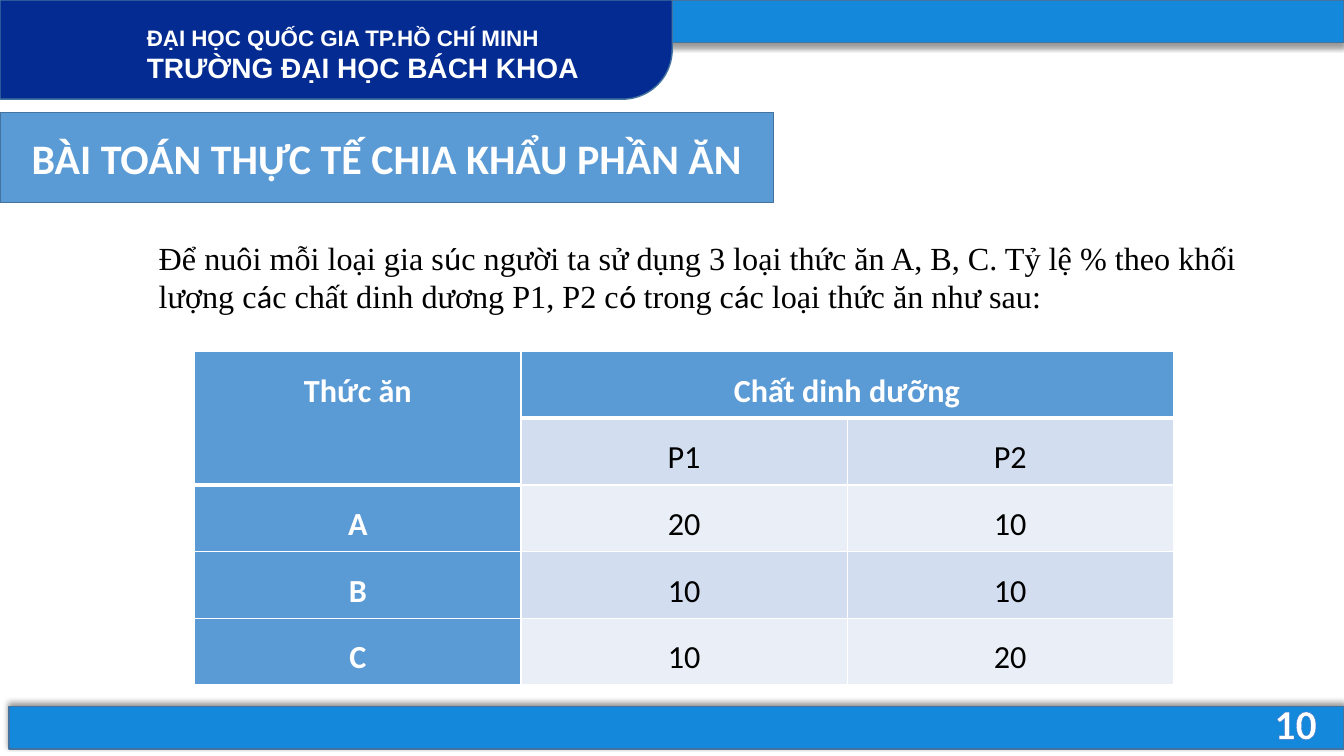
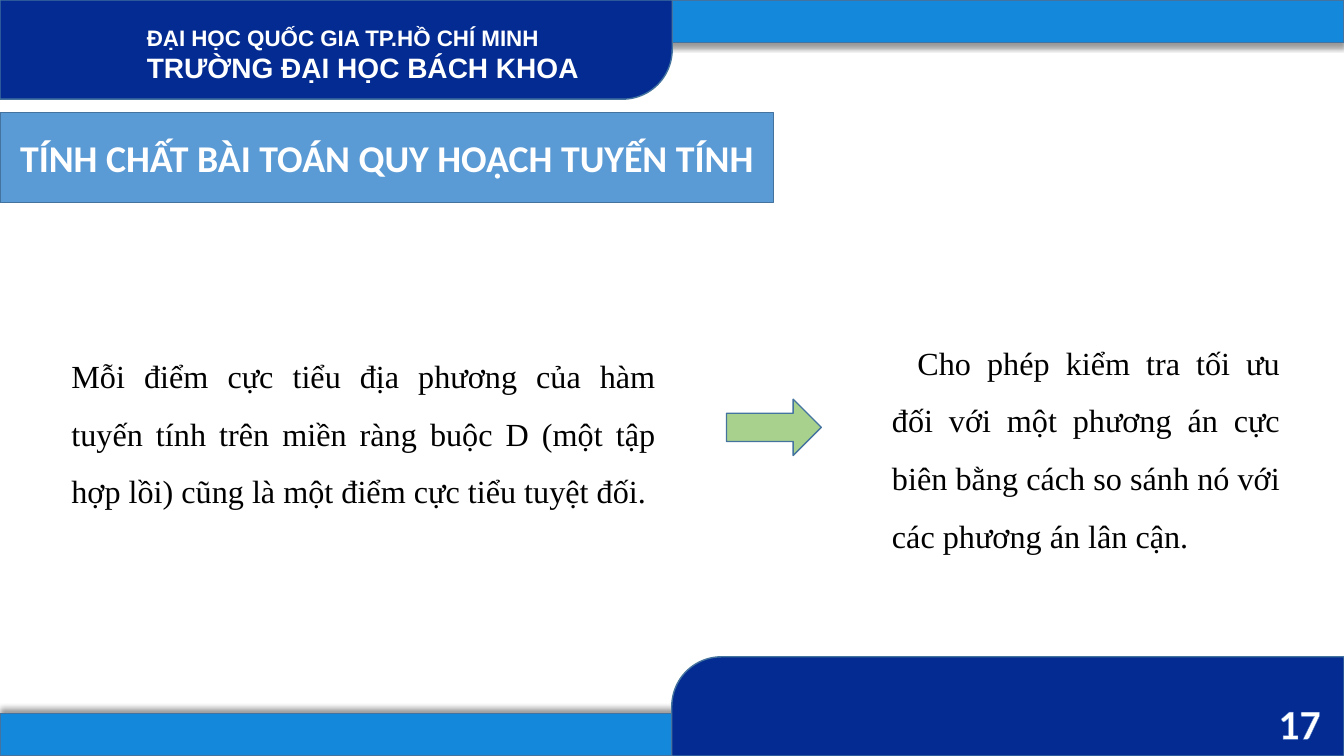
from lxml import etree
from pptx import Presentation
from pptx.dml.color import RGBColor
from pptx.enum.shapes import MSO_SHAPE as SHAPE
from pptx.enum.text import MSO_ANCHOR as ANCHOR, MSO_AUTO_SIZE as AUTO, PP_ALIGN as ALIGN
from pptx.oxml import parse_xml
from pptx.oxml.ns import nsdecls, qn
from pptx.util import Cm, Pt

WHITE = RGBColor(0xFF, 0xFF, 0xFF)
BLACK = RGBColor(0x00, 0x00, 0x00)
BAND = RGBColor(0x14, 0x88, 0xDB)
NAVY = RGBColor(0x03, 0x2B, 0x91)
BLUE = RGBColor(0x5B, 0x9B, 0xD5)
EDGE = RGBColor(0x43, 0x73, 0x9E)
GREEN = RGBColor(0xA9, 0xD1, 0x8E)
OUTLINE = RGBColor(0x44, 0x72, 0xC4)
ROW_DARK = RGBColor(0xD2, 0xDE, 0xEF)
ROW_LIGHT = RGBColor(0xEA, 0xEF, 0xF7)
SERIF, SANS = "Times New Roman", "Calibri"
W, H = 33.87, 19.05
BAND_H = 1.07
TAB_W, TAB_H = 16.94, 2.5


def add_shape(s, kind, x, y, w, h, color, rotation=0, shadow_dir=None):
    """Add an edged shape; x, y, w, h (cm) is its frame as seen after a quarter turn."""
    if rotation:
        x, y, w, h = x + (w - h) / 2, y + (h - w) / 2, h, w
    sp = s.shapes.add_shape(kind, Cm(x), Cm(y), Cm(w), Cm(h))
    sp.rotation = rotation
    sp.shadow.inherit = False
    sp.fill.solid()
    sp.fill.fore_color.rgb = color
    sp.line.color.rgb = EDGE
    sp.line.width = Pt(1)
    if shadow_dir:
        effects = sp._element.spPr.find(qn("a:effectLst"))
        effects.append(parse_xml(
            f'<a:outerShdw {nsdecls("a")} blurRad="{Pt(4)}" dist="{Pt(3)}" dir="{shadow_dir * 60000}" '
            'algn="t" rotWithShape="0"><a:srgbClr val="000000"><a:alpha val="40000"/></a:srgbClr>'
            '</a:outerShdw>'))
    return sp


def add_run(p, text, size, font=SANS, color=WHITE, bold=False):
    r = p.add_run()
    r.text = text
    r.font.size = Pt(size)
    r.font.name = font
    r.font.color.rgb = color
    r.font.bold = bold
    return r


prs = Presentation()
prs.slide_width, prs.slide_height = Cm(W), Cm(H)

# Shared frame: bands, school name, title and page number
pages = [
    ("BÀI TOÁN THỰC TẾ CHIA KHẨU PHẦN ĂN", 30, "10", 0.23, 17.81, 31.55),
    ("TÍNH CHẤT BÀI TOÁN QUY HOẠCH TUYẾN TÍNH", 27, "17", 0, H - BAND_H, 31.65),
]
slides = []
for title, title_size, number, foot_x, foot_y, number_x in pages:
    s = prs.slides.add_slide(prs.slide_layouts[5])
    slides.append(s)
    add_shape(s, SHAPE.RECTANGLE, 0, 0, W, BAND_H, BAND, shadow_dir=90)
    add_shape(s, SHAPE.RECTANGLE, foot_x, foot_y, W - foot_x, BAND_H, BAND, shadow_dir=270)
    tab_places = [(0, 0, 90)]
    if number == "17":
        tab_places.append((W - TAB_W, H - TAB_H, 270))
    for x, y, rotation in tab_places:
        tab = add_shape(s, SHAPE.ROUND_1_RECTANGLE, x, y, TAB_W, TAB_H, NAVY, rotation)
        tab.adjustments[0] = 0.5

    tf = s.shapes.add_textbox(Cm(3.45), Cm(0.48), Cm(11.5), Cm(1.8)).text_frame
    tf.word_wrap = False
    add_run(tf.paragraphs[0], "ĐẠI HỌC QUỐC GIA TP.HỒ CHÍ MINH", 16, "Arial", bold=True)
    add_run(tf.add_paragraph(), "TRƯỜNG ĐẠI HỌC BÁCH KHOA", 20, "Arial", bold=True)

    sp = s.shapes.title
    sp.left, sp.top, sp.width, sp.height = Cm(0), Cm(2.84), Cm(19.5), Cm(2.26)
    sp._element.spPr.append(parse_xml(
        f'<a:prstGeom {nsdecls("a")} prst="snip2DiagRect"><a:avLst/></a:prstGeom>'))
    sp.fill.solid()
    sp.fill.fore_color.rgb = BLUE
    sp.line.color.rgb = EDGE
    sp.line.width = Pt(1)
    tf = sp.text_frame
    tf.auto_size = AUTO.NONE
    tf.word_wrap = True
    tf.vertical_anchor = ANCHOR.MIDDLE
    p = tf.paragraphs[0]
    p.alignment = ALIGN.CENTER
    add_run(p, title, title_size, bold=True)

    tf = s.shapes.add_textbox(Cm(number_x), Cm(17.45), Cm(2.2), Cm(1.55)).text_frame
    tf.word_wrap = True
    p = tf.paragraphs[0]
    p.alignment = ALIGN.CENTER
    r = add_run(p, number, 30, bold=True)
    r.font._element.insert(0, parse_xml(
        f'<a:ln {nsdecls("a")} w="{Pt(0.8)}"><a:solidFill><a:srgbClr val="{OUTLINE}"/></a:solidFill></a:ln>'))

# Slide 1: feed mix problem
s = slides[0]
tf = s.shapes.add_textbox(Cm(3.75), Cm(5.87), Cm(28.52), Cm(2.3)).text_frame
tf.word_wrap = True
problem_parts = [
    ("Để nuôi mỗi loại gia s", SERIF), ("ú", SANS),
    ("c người ta sử dụng 3 loại thức ăn A, B, C. Tỷ lệ % theo khối lượng c", SERIF), ("á", SANS),
    ("c chất dinh dương P1, P2 c", SERIF), ("ó ", SANS), ("trong c", SERIF), ("á", SANS),
    ("c loại thức ăn như sau:", SERIF),
]
for text, font in problem_parts:
    add_run(tf.paragraphs[0], text, 23, font, BLACK)

rows = [
    ("Thức ăn", "Chất dinh dưỡng", ""),
    ("", "P1", "P2"),
    ("A", "20", "10"),
    ("B", "10", "10"),
    ("C", "10", "20"),
]
COL_W, ROW_H = 8.22, 1.68
table = s.shapes.add_table(len(rows), 3, Cm(4.91), Cm(8.86), Cm(3 * COL_W), Cm(len(rows) * ROW_H)).table
for col in table.columns:
    col.width = Cm(COL_W)
for row in table.rows:
    row.height = Cm(ROW_H)
table.cell(0, 0).merge(table.cell(1, 0))
table.cell(0, 1).merge(table.cell(0, 2))

thick_below = {(0, 0), (1, 0), (0, 1), (0, 2)}
for i, row in enumerate(rows):
    for j, text in enumerate(row):
        cell = table.cell(i, j)
        is_header = i == 0 or j == 0
        cell.fill.solid()
        cell.fill.fore_color.rgb = BLUE if is_header else ROW_DARK if i % 2 else ROW_LIGHT
        cell.margin_left = cell.margin_right = Cm(0.19)
        cell.margin_top = cell.margin_bottom = 0
        widths = {
            "lnL": 1, "lnR": 1,
            "lnT": 3 if (i - 1, j) in thick_below else 1,
            "lnB": 3 if (i, j) in thick_below else 1,
        }
        tcPr = cell._tc.get_or_add_tcPr()
        for k, (side, width) in enumerate(widths.items()):
            ln = etree.Element(qn(f"a:{side}"), w=str(Pt(width)))
            fill = etree.SubElement(ln, qn("a:solidFill"))
            etree.SubElement(fill, qn("a:srgbClr"), val=str(WHITE))
            tcPr.insert(k, ln)
        if text:
            p = cell.text_frame.paragraphs[0]
            p.alignment = ALIGN.CENTER
            p.line_spacing = 1.5
            add_run(p, text, 23, color=WHITE if is_header else BLACK, bold=is_header)

# Slide 2: property and its consequence
s = slides[1]
statements = [
    ("Mỗi điểm cực tiểu địa phương của hàm tuyến tính trên miền ràng buộc D (một tập hợp lồi) "
     "cũng là một điểm cực tiểu tuyệt đối.", 0.91, 8.36, 15.88, 4.67, "marL"),
    ("Cho phép kiểm tra tối ưu đối với một phương án cực biên bằng cách so sánh nó với "
     "các phương án lân cận.", 22.23, 8.03, 10.29, 6, "indent"),
]
for text, x, y, w, h, indent_kind in statements:
    tf = s.shapes.add_textbox(Cm(x), Cm(y), Cm(w), Cm(h)).text_frame
    tf.word_wrap = True
    p = tf.paragraphs[0]
    p.alignment = ALIGN.JUSTIFY
    p.line_spacing = 1.5
    p._p.get_or_add_pPr().set(indent_kind, str(Cm(0.64)))
    add_run(p, text, 23, SERIF, BLACK)
add_shape(s, SHAPE.RIGHT_ARROW, 18.31, 10.06, 2.39, 1.42, GREEN)

prs.save("out.pptx")
